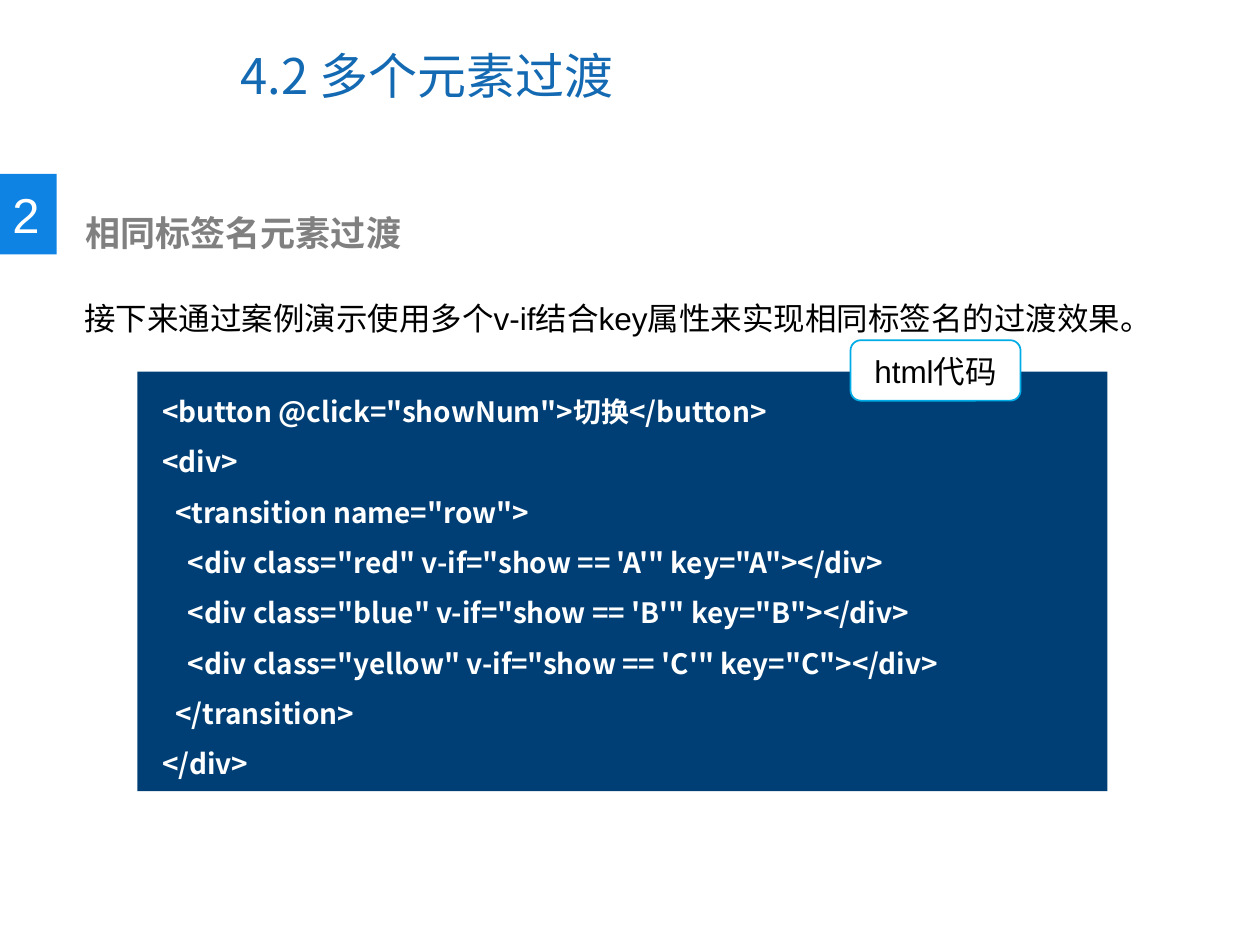
import pptx
import pptx.util
import pptx.dml.color
import pptx.enum.shapes
import pptx.enum.text
import pptx.oxml.ns
from lxml import etree
from pptx.util import Inches

COLORS = {
    "title": "1369B2",
    "badge": "0F83E3",
    "heading": "808080",
    "code": "003F75",
    "border": "00ACE6",
    "white": "FFFFFF",
    "black": "000000",
}
CJK_FONT = "Noto Sans CJK SC"
SHAPES = pptx.enum.shapes.MSO_SHAPE
ALIGN = pptx.enum.text.PP_ALIGN
ANCHOR = pptx.enum.text.MSO_ANCHOR


def write(shape, text, size, color, font=CJK_FONT, bold=False, align=ALIGN.LEFT,
          anchor=ANCHOR.TOP, spacing=1.0, left_inset=0.1):
    frame = shape.text_frame
    frame.text = text
    frame.word_wrap = True
    frame.auto_size = pptx.enum.text.MSO_AUTO_SIZE.NONE
    frame.vertical_anchor = anchor
    frame.margin_left = Inches(left_inset)
    for paragraph in frame.paragraphs:
        paragraph.alignment = align
        paragraph.line_spacing = spacing
        for run in paragraph.runs:
            run.font.size = pptx.util.Pt(size)
            run.font.bold = bold
            run.font.name = font
            run.font.color.rgb = pptx.dml.color.RGBColor.from_string(COLORS[color])
            east_asian = etree.SubElement(run.font._element, pptx.oxml.ns.qn("a:ea"))
            east_asian.set("typeface", CJK_FONT)


def add_box(kind, left, top, width, height, fill, line=None):
    shape = slide.shapes.add_shape(
        kind, Inches(left), Inches(top), Inches(width), Inches(height))
    shape.shadow.inherit = False
    shape.fill.solid()
    shape.fill.fore_color.rgb = pptx.dml.color.RGBColor.from_string(COLORS[fill])
    if line:
        shape.line.color.rgb = pptx.dml.color.RGBColor.from_string(COLORS[line])
        shape.line.width = pptx.util.Pt(1)
    else:
        shape.line.fill.background()
    return shape


presentation = pptx.Presentation()
presentation.slide_width = Inches(10)
presentation.slide_height = Inches(7.5)
slide = presentation.slides.add_slide(presentation.slide_layouts[5])

# Title
title = slide.shapes.title
title.left, title.top = Inches(1.81), Inches(0.17)
title.width, title.height = Inches(5.16), Inches(0.85)
write(title, "4.2 多个元素过渡", 28, "title", anchor=ANCHOR.MIDDLE)

# Numbered section heading
badge = add_box(SHAPES.RECTANGLE, 0, 1.38, 0.45, 0.64, "badge")
write(badge, "2", 28, "white", font="Arial", anchor=ANCHOR.MIDDLE)
heading = slide.shapes.add_textbox(
    Inches(0.48), Inches(1.63), Inches(5.14), Inches(0.44))
write(heading, "相同标签名元素过渡", 20, "heading", font="Times New Roman",
      bold=True, left_inset=0.2)

# Introduction
introduction = slide.shapes.add_textbox(
    Inches(0.57), Inches(2.02), Inches(9.23), Inches(0.71))
write(introduction, "接下来通过案例演示使用多个v-if结合key属性来实现相同标签名的过渡效果。",
      18, "black", font="Arial", spacing=2.0)

# Code panel
code_lines = [
    '<button @click="showNum">切换</button>',
    "<div>",
    '  <transition name="row">',
    *(f"""    <div class="{name}" v-if="show == '{key}'" key="{key}"></div>"""
      for name, key in [("red", "A"), ("blue", "B"), ("yellow", "C")]),
    "  </transition>",
    "</div>",
]
code_panel = add_box(SHAPES.RECTANGLE, 1.09, 2.95, 7.7, 3.33, "code")
write(code_panel, "\n".join(code_lines), 16, "white", bold=True,
      spacing=pptx.util.Pt(28.75), left_inset=0.2)

# Language label on the panel's top edge
label = add_box(SHAPES.ROUNDED_RECTANGLE, 6.75, 2.7, 1.35, 0.48, "white", "border")
label.adjustments[0] = 0.17
write(label, "html代码", 18, "black", font="Arial", align=ALIGN.CENTER,
      anchor=ANCHOR.MIDDLE)

presentation.save("out.pptx")
